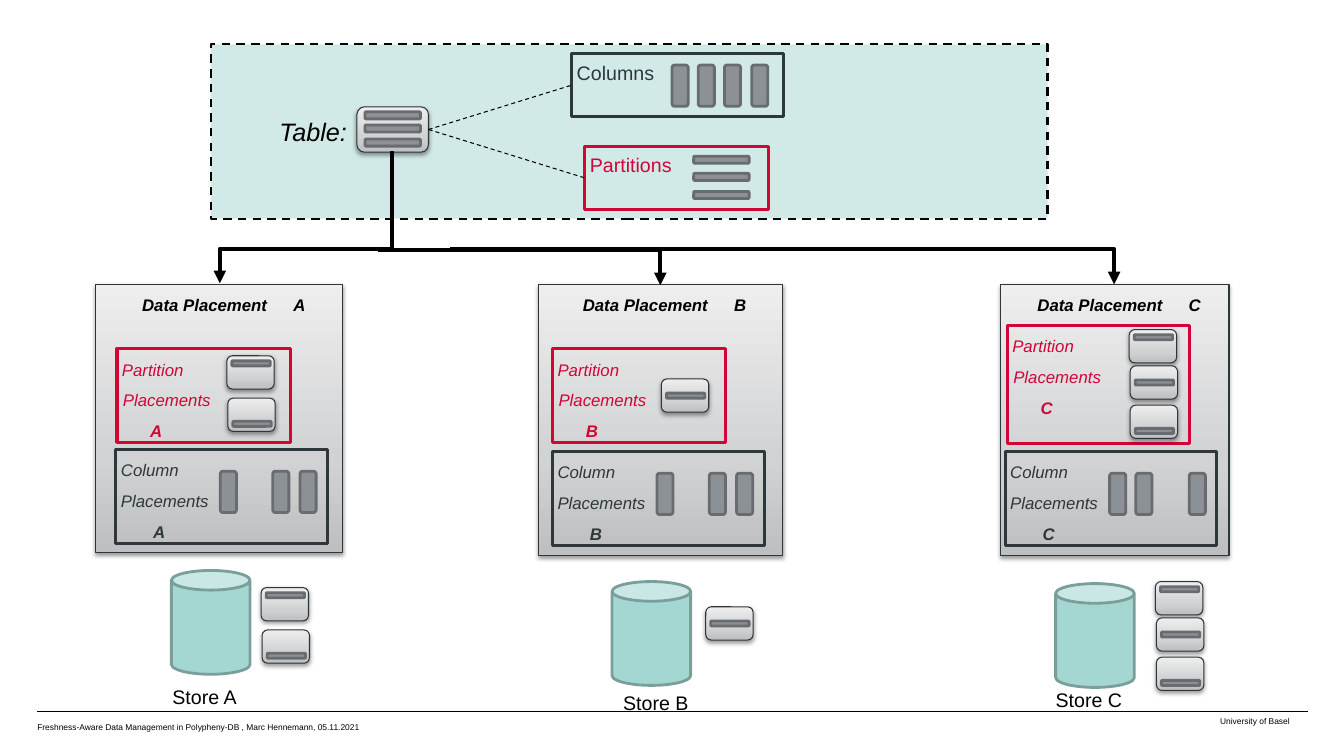
from pptx import Presentation
from pptx.dml.color import RGBColor
from pptx.enum.dml import MSO_LINE
from pptx.enum.shapes import MSO_CONNECTOR, MSO_SHAPE
from pptx.enum.text import MSO_ANCHOR, PP_ALIGN
from pptx.oxml import parse_xml
from pptx.oxml.ns import nsdecls, qn
from pptx.util import Emu, Pt
from lxml import etree

PX = 9144  # 100 px to the inch
RECT, ROUND, CAN = MSO_SHAPE.RECTANGLE, MSO_SHAPE.ROUNDED_RECTANGLE, MSO_SHAPE.CAN
STRAIGHT, ELBOW = MSO_CONNECTOR.STRAIGHT, MSO_CONNECTOR.ELBOW
DASH, TOP = MSO_LINE.DASH, MSO_ANCHOR.TOP
LEFT, RIGHT = PP_ALIGN.LEFT, PP_ALIGN.RIGHT

BLACK = RGBColor(0x00, 0x00, 0x00)
RED = RGBColor(0xD2, 0x05, 0x37)
SLATE = RGBColor(0x2D, 0x37, 0x3C)
EDGE = RGBColor(0x2C, 0x36, 0x3B)
MINT = RGBColor(0xA5, 0xD7, 0xD2)
RIM = RGBColor(0x7A, 0x9F, 0x9B)
GRAY = RGBColor(0x8C, 0x91, 0x96)
DARK = RGBColor(0x68, 0x6B, 0x6F)
STOPS = [(0, "BDBFC1"), (35, "D1D2D3"), (100, "EEEEEF")]

# Content: chips are (x, y, row of the bar); shift moves them to the store
STORES = [
    dict(name="A", panel=(95, 282, 245, 266), part=(116, 346, 172, 93),
         col=(115, 446), slots=(0, 2, 3), can=(170, 566), label=(171, 672),
         chips=[(225, 353, 0), (226, 395, 2)], shift=(34, 230)),
    dict(name="B", panel=(534, 282, 242, 269), part=(548, 346, 172, 93),
         col=(548, 448), slots=(0, 2, 3), can=(607, 577), label=(618, 678),
         chips=[(656, 376, 1)], shift=(44, 226)),
    dict(name="C", panel=(992, 282, 227, 269), part=(999, 323, 181, 117),
         col=(997, 448), slots=(0, 1, 3), can=(1047, 579), label=(1047, 675),
         chips=[(1120, 327, 0), (1121, 363, 1), (1121, 402, 2)], shift=(26, 250)),
]
# Arrows: shape kind, start, end, turn in degrees, bend
ARROWS = [
    ("bentConnector3", (238, 130), (369, 301), 90, 73900),
    ("bentConnector2", (375, 248), (655, 283), 0, None),
    ("bentConnector2", (446, 247), (1105, 282), 0, None),
]
FOOTER = "Freshness-Aware Data Management in Polypheny-DB , Marc Hennemann, 05.11.2021"

deck = Presentation()
deck.slide_width, deck.slide_height = Emu(1333 * PX), Emu(750 * PX)
slide = deck.slides.add_slide(deck.slide_layouts[6])


def write(shape, lines, size=14, ink=BLACK, italic=False, bold=False,
          align=LEFT, lead=22, inset=(0, 0, 0, 0), tab=None):
    """Each line is text, or a tuple of text, indent and bold."""
    frame = shape.text_frame
    frame.word_wrap, frame.vertical_anchor = True, TOP
    (frame.margin_left, frame.margin_top,
     frame.margin_right, frame.margin_bottom) = [Emu(n * PX) for n in inset]
    for i, line in enumerate(lines):
        text, dent, heavy = line if isinstance(line, tuple) else (line, 0, bold)
        para = frame.add_paragraph() if i else frame.paragraphs[0]
        props = para._p.get_or_add_pPr()
        props.set("marL", str(dent * PX))
        props.set("indent", "0")
        if tab:
            stops = etree.SubElement(props, qn("a:tabLst"))
            etree.SubElement(stops, qn("a:tab"), pos=str(tab * PX), algn="l")
        para.alignment = align
        if lead:
            para.line_spacing = Pt(lead)
        run = para.add_run()
        run.text = text
        font = run.font
        font.name, font.size, font.color.rgb = "Arial", Pt(size), ink
        font.italic, font.bold = italic, heavy


def shape(kind, x, y, w, h, fill=None, line=BLACK, width=2.25):
    item = slide.shapes.add_shape(kind, *[Emu(n * PX) for n in (x, y, w, h)])
    item.shadow.inherit = False
    if fill is None:
        item.fill.background()
    else:
        item.fill.solid()
        item.fill.fore_color.rgb = fill
    item.line.color.rgb, item.line.width = line, Pt(width)
    return item


def note(x, y, w, h, text, **form):
    box = slide.shapes.add_textbox(*[Emu(n * PX) for n in (x, y, w, h)])
    write(box, [text], **form)


def shaded(kind, x, y, w, h):
    item = shape(kind, x, y, w, h, GRAY, EDGE, 0.75)
    props = item._element.spPr
    stops = "".join(f'<a:gs pos="{at * 1000}"><a:srgbClr val="{tint}"/></a:gs>'
                    for at, tint in STOPS)
    props.replace(props.find(qn("a:solidFill")), parse_xml(
        f'<a:gradFill {nsdecls("a")} rotWithShape="1"><a:gsLst>{stops}</a:gsLst>'
        '<a:lin ang="16200000" scaled="0"/></a:gradFill>'))
    props.find(qn("a:effectLst")).append(parse_xml(
        f'<a:outerShdw {nsdecls("a")} blurRad="40000" dist="20000" dir="5400000" '
        'rotWithShape="0"><a:srgbClr val="000000"><a:alpha val="38000"/>'
        '</a:srgbClr></a:outerShdw>'))
    return item


def bar(x, y, w, h, turn=0):
    shape(ROUND, x, y, w, h, GRAY, DARK, 2).rotation = turn


def chip(x, y, row):
    shaded(ROUND, x, y, 47, 33)
    bar(x + 5, y + 5 + 9 * row, 38, 5)


def pillars(x, y, slots):
    for slot in slots:
        bar(x + 79 * slot // 3, y, 41, 16, 90)


def link(kind, start, end, width, dash=None):
    wire = slide.shapes.add_connector(kind, *[Emu(n * PX) for n in start + end])
    wire.line.color.rgb, wire.line.width = BLACK, Pt(width)
    if dash:
        wire.line.dash_style = dash
    etree.SubElement(wire._element.spPr, qn("a:effectLst"))
    return wire


# Footer
link(STRAIGHT, (37, 706), (1297, 706), 0.25)
note(1011, 706, 278, 20, "University of Basel", size=6, align=RIGHT, lead=None,
     inset=(10, 5, 10, 5))
note(37, 714, 339, 20, FOOTER, size=6, lead=None, inset=(0, 2, 0, 0))

# Table with its columns and partitions
band = shape(RECT, 209, 44, 830, 173, MINT, BLACK, 1.5)
band.line.dash_style = DASH
tint = band._element.spPr.find(qn("a:solidFill"))[0]
etree.SubElement(tint, qn("a:alpha"), val="50000")
note(277, 115, 130, 38, "Table:", size=18, italic=True)
table = shaded(ROUND, 354, 106, 71, 45)
parts = shape(RECT, 580, 145, 182, 63, line=RED)
write(parts, [("Partitions", 5, False)], ink=RED)
for i in range(3):
    bar(362, 111 + 27 * i // 2, 55, 7)
    bar(688, 155 + 35 * i // 2, 55, 7)
cols = shape(RECT, 567, 53, 210, 63, line=SLATE)
write(cols, [("Columns", 5, False)], ink=SLATE)
pillars(654, 77, range(4))
for target in (cols, parts):
    ray = link(STRAIGHT, (425, 128), (567, 85), 0.75, DASH)
    ray.begin_connect(table, 3)
    ray.end_connect(target, 1)

# Data placements and stores
for store in STORES:
    name = store["name"]
    panel = shaded(RECT, *store["panel"])
    pad = (store["panel"][2] - 153) // 2
    write(panel, [f"Data Placement\t{name}"], size=12, bold=True, italic=True,
          inset=(pad, 0, 0, 0), tab=144)
    part = shape(RECT, *store["part"], line=RED)
    write(part, [("Partition", 5, False), ("Placements", 6, False),
                 (name, 33, True)], size=12, ink=RED, italic=True)
    x, y = store["col"]
    col = shape(RECT, x, y, 210, 93, line=SLATE)
    write(col, [("Column", 5, False), ("Placements", 5, False),
                (name, 37, True)], size=12, ink=SLATE, italic=True)
    pillars(x + 91, y + 34, store["slots"])
    shape(CAN, *store["can"], 78, 103, MINT, RIM, 2)
    note(*store["label"], 130, 38, f"Store {name}")
    dx, dy = store["shift"]
    for x, y, row in store["chips"]:
        chip(x, y, row)
        chip(x + dx, y + dy, row)

# Arrows from the table to the placements
for kind, start, end, turn, bend in ARROWS:
    arrow = link(ELBOW, start, end, 3)
    props = arrow._element.spPr
    props.find(qn("a:xfrm")).set("rot", str(turn * 60000))
    shape_xml = props.find(qn("a:prstGeom"))
    shape_xml.set("prst", kind)
    if bend:
        etree.SubElement(shape_xml.find(qn("a:avLst")), qn("a:gd"),
                         name="adj1", fmla=f"val {bend}")
    etree.SubElement(props.find(qn("a:ln")), qn("a:tailEnd"), type="triangle")

deck.save("out.pptx")
